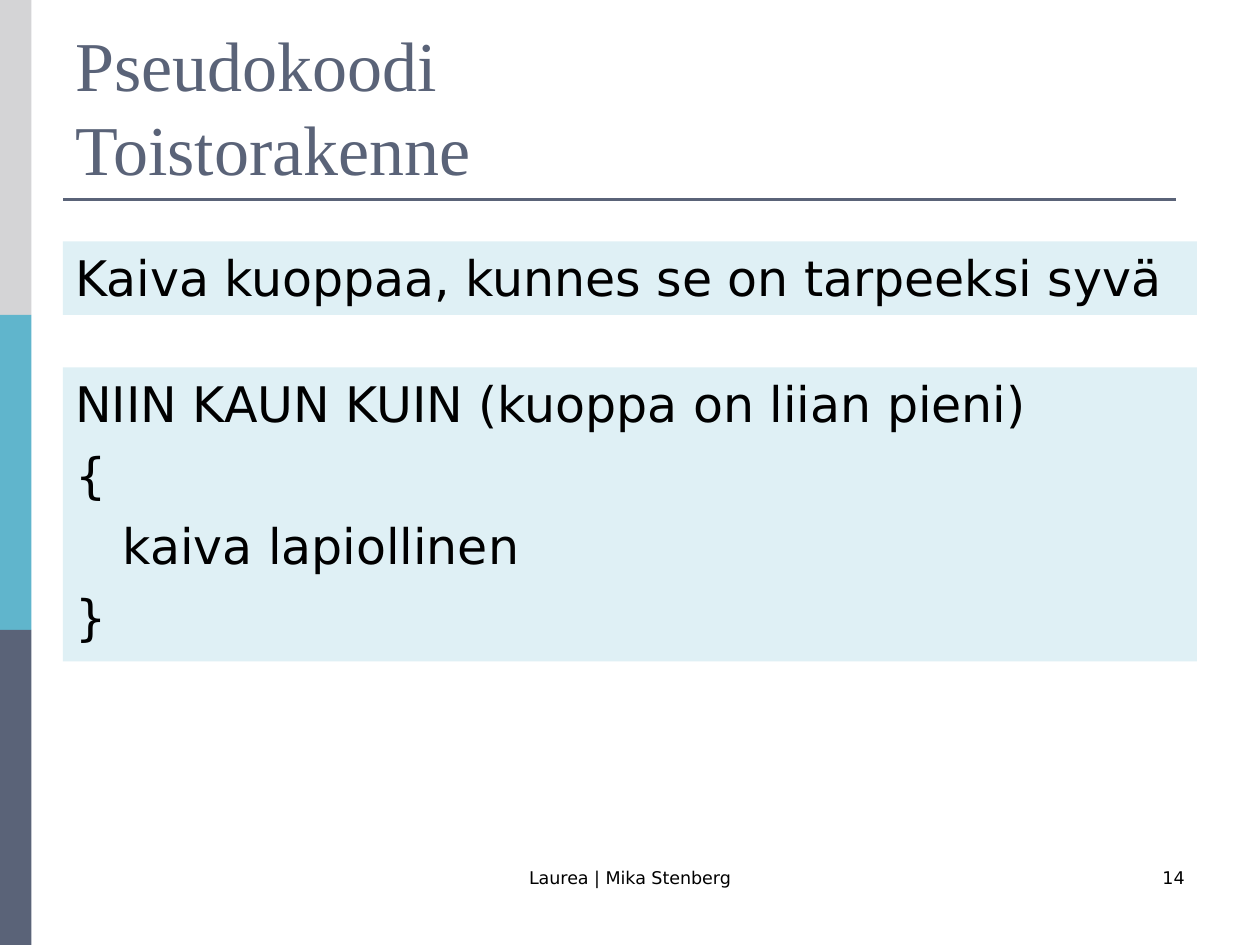
from pptx import Presentation
from pptx.dml.color import RGBColor
from pptx.enum.shapes import MSO_CONNECTOR, MSO_SHAPE
from pptx.enum.text import MSO_ANCHOR, PP_ALIGN
from pptx.oxml.ns import qn
from pptx.util import Pt
from lxml import etree

LEFT, CENTER, RIGHT = PP_ALIGN.LEFT, PP_ALIGN.CENTER, PP_ALIGN.RIGHT
TOP, BOTTOM = MSO_ANCHOR.TOP, MSO_ANCHOR.BOTTOM
RECTANGLE, STRAIGHT = MSO_SHAPE.RECTANGLE, MSO_CONNECTOR.STRAIGHT

COLORS = {
    "grey": "D4D4D6",
    "teal": "60B5CC",
    "slate": "5A6378",
    "panel": "DFF0F5",
    "text": "000000",
}
SANS, SERIF = "DejaVu Sans", "Times New Roman"
PAGE_WIDTH, PAGE_HEIGHT = 720, 540
MARGIN, CONTENT_WIDTH = 36, 648
CODE_INDENT = 27


def color(name):
    return RGBColor.from_string(COLORS[name])


def add_block(page, box, fill):
    block = page.shapes.add_shape(RECTANGLE, *map(Pt, box))
    block.shadow.inherit = False
    block.fill.solid()
    block.fill.fore_color.rgb = color(fill)
    block.line.fill.background()
    return block


def prepare_frame(shape, anchor=TOP):
    frame = shape.text_frame
    frame.word_wrap = True
    frame.vertical_anchor = anchor
    return frame


def add_span(para, text, size, font=SANS, ink="text"):
    span = para.add_run()
    span.text = text
    span.font.size = Pt(size)
    span.font.name = font
    span.font.color.rgb = color(ink)


def add_sidebar(page, box):
    """Three equal bands, stacked down the box."""
    left, top, width, height = box
    bands = ("grey", "teal", "slate")
    band_height = height / len(bands)
    for index, fill in enumerate(bands):
        add_block(page, (left, top + index * band_height, width, band_height), fill)


def add_title(page, box, lines):
    """Two-line heading with a rule just below it."""
    left, top, width, height = box
    frame = prepare_frame(page.shapes.add_textbox(*map(Pt, box)), BOTTOM)
    para = frame.paragraphs[0]
    for index, line in enumerate(lines):
        if index:
            para.add_line_break()
        add_span(para, line, 40, SERIF, "slate")

    rule_y = top + height + 2.4
    rule = page.shapes.add_connector(
        STRAIGHT, Pt(left), Pt(rule_y), Pt(left + width - 12), Pt(rule_y))
    rule.line.color.rgb = color("slate")
    rule.line.width = Pt(1.5)
    etree.SubElement(rule._element.spPr, qn("a:effectLst"))


def add_panel(page, box, lines):
    """Tinted panel; each line is a pair of indent level and text."""
    frame = prepare_frame(add_block(page, box, "panel"))
    for index, (level, text) in enumerate(lines):
        para = frame.add_paragraph() if index else frame.paragraphs[0]
        para.alignment = LEFT
        if index:
            para.space_before = Pt(7)
        if level:
            para._p.get_or_add_pPr().set("marL", str(Pt(level * CODE_INDENT)))
        add_span(para, text, 28)


def add_footer(page, box, text, alignment):
    frame = prepare_frame(page.shapes.add_textbox(*map(Pt, box)))
    para = frame.paragraphs[0]
    para.alignment = alignment
    add_span(para, text, 10)


def main():
    deck = Presentation()
    deck.slide_width, deck.slide_height = Pt(PAGE_WIDTH), Pt(PAGE_HEIGHT)
    page = deck.slides.add_slide(deck.slide_layouts[6])

    add_sidebar(page, (0, 0, 18, PAGE_HEIGHT))
    add_title(page, (MARGIN, 21.6, CONTENT_WIDTH, 90), ("Pseudokoodi", "Toistorakenne"))

    # Task in plain words, then as pseudocode
    add_panel(page, (MARGIN, 138, CONTENT_WIDTH, 42),
              [(0, "Kaiva kuoppaa, kunnes se on tarpeeksi syvä")])
    add_panel(page, (MARGIN, 210, CONTENT_WIDTH, 168), [
        (0, "NIIN KAUN KUIN (kuoppa on liian pieni)"),
        (0, "{"),
        (1, "kaiva lapiollinen"),
        (0, "}"),
    ])

    # Footer and page number
    add_footer(page, (246, 492, 228, 36), "Laurea | Mika Stenberg", CENTER)
    add_footer(page, (516, 492, 168, 36), "14", RIGHT)

    deck.save("out.pptx")


if __name__ == "__main__":
    main()
